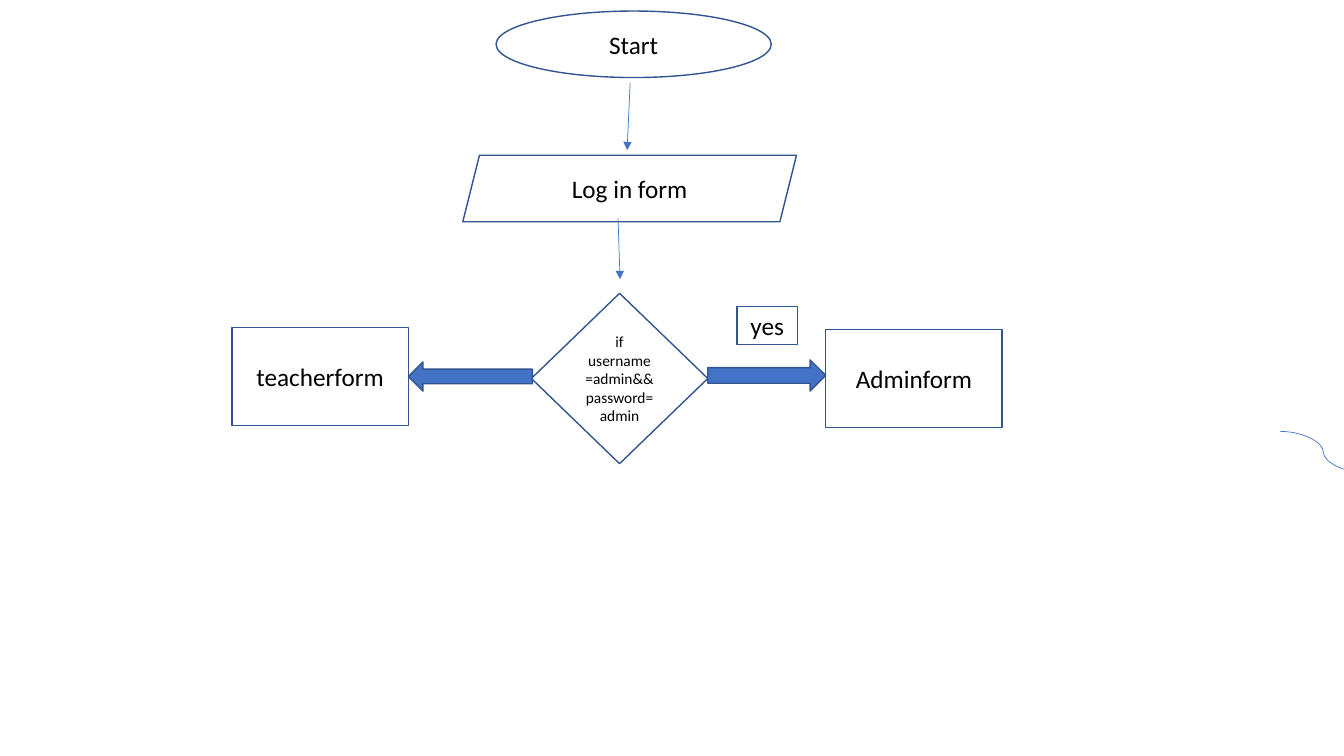
from pptx import Presentation
from pptx.dml.color import RGBColor
from pptx.enum.shapes import MSO_CONNECTOR, MSO_SHAPE
from pptx.enum.text import MSO_ANCHOR, PP_ALIGN
from pptx.oxml.ns import qn
from pptx.util import Inches, Pt
from lxml.etree import SubElement

# Content: kind, text, size name, (left, top, width, height) in inches
STEPS = [
    (MSO_SHAPE.OVAL, "Start", "label", (4.92, 0.11, 2.73, 0.66)),
    (MSO_SHAPE.PARALLELOGRAM, "Log in form", "label", (4.59, 1.54, 3.31, 0.66)),
    (MSO_SHAPE.DIAMOND, "if username =admin&&password=admin", "condition",
     (5.27, 2.91, 1.75, 1.69)),
    (MSO_SHAPE.RECTANGLE, "Adminform", "label", (8.19, 3.27, 1.75, 0.97)),
    (MSO_SHAPE.RECTANGLE, "teacherform", "label", (2.3, 3.25, 1.75, 0.97)),
    (MSO_SHAPE.FLOWCHART_PROCESS, "yes", "label", (7.31, 3.04, 0.6, 0.38)),
]
BRANCH_ARROWS = [
    (MSO_SHAPE.RIGHT_ARROW, (7.02, 3.57, 1.17, 0.31)),
    (MSO_SHAPE.LEFT_ARROW, (4.05, 3.59, 1.23, 0.29)),
]
# Connectors: kind, start x, start y, end x, end y, arrowhead
CONNECTORS = [
    (MSO_CONNECTOR.CURVE, (12.7, 4.28, 13.55, 4.69), False),
    (MSO_CONNECTOR.STRAIGHT, (6.25, 0.82, 6.22, 1.49), True),
    (MSO_CONNECTOR.STRAIGHT, (6.13, 2.17, 6.15, 2.77), True),
]

THEME = {
    "font": "Calibri",
    "text": RGBColor(0x00, 0x00, 0x00),
    "paper": RGBColor(0xFF, 0xFF, 0xFF),
    "accent": RGBColor(0x44, 0x72, 0xC4),
    "outline": RGBColor(0x32, 0x54, 0x91),
    "outline_width": Pt(1),
    "connector_width": Pt(0.5),
    "label": Pt(18),
    "condition": Pt(11),
}


def add_box(page, kind, place, fill):
    box = page.shapes.add_shape(kind, *map(Inches, place))
    box.shadow.inherit = False
    box.fill.solid()
    box.fill.fore_color.rgb = THEME[fill]
    box.line.color.rgb = THEME["outline"]
    box.line.width = THEME["outline_width"]
    return box


def write_label(box, text, size):
    frame = box.text_frame
    frame.word_wrap = True
    frame.vertical_anchor = MSO_ANCHOR.MIDDLE
    para = frame.paragraphs[0]
    para.alignment = PP_ALIGN.CENTER
    span = para.add_run()
    span.text = text
    span.font.color.rgb = THEME["text"]
    for name, value in {"name": THEME["font"], "size": THEME[size]}.items():
        setattr(span.font, name, value)


def add_link(page, kind, ends, arrowhead):
    link = page.shapes.add_connector(kind, *map(Inches, ends))
    link.line.color.rgb = THEME["accent"]
    link.line.width = THEME["connector_width"]
    if arrowhead:
        SubElement(link.line._get_or_add_ln(), qn("a:tailEnd"), type="triangle")
    SubElement(link._element.spPr, qn("a:effectLst"))


def main():
    deck = Presentation()
    deck.slide_width, deck.slide_height = Inches(13.33), Inches(7.5)
    page = deck.slides.add_slide(deck.slide_layouts[6])

    # Flowchart steps
    for kind, text, size, place in STEPS:
        write_label(add_box(page, kind, place, "paper"), text, size)

    # Block arrows to the two forms
    for kind, place in BRANCH_ARROWS:
        add_box(page, kind, place, "accent")

    # Thin connectors
    for kind, ends, arrowhead in CONNECTORS:
        add_link(page, kind, ends, arrowhead)

    deck.save("out.pptx")


if __name__ == "__main__":
    main()
